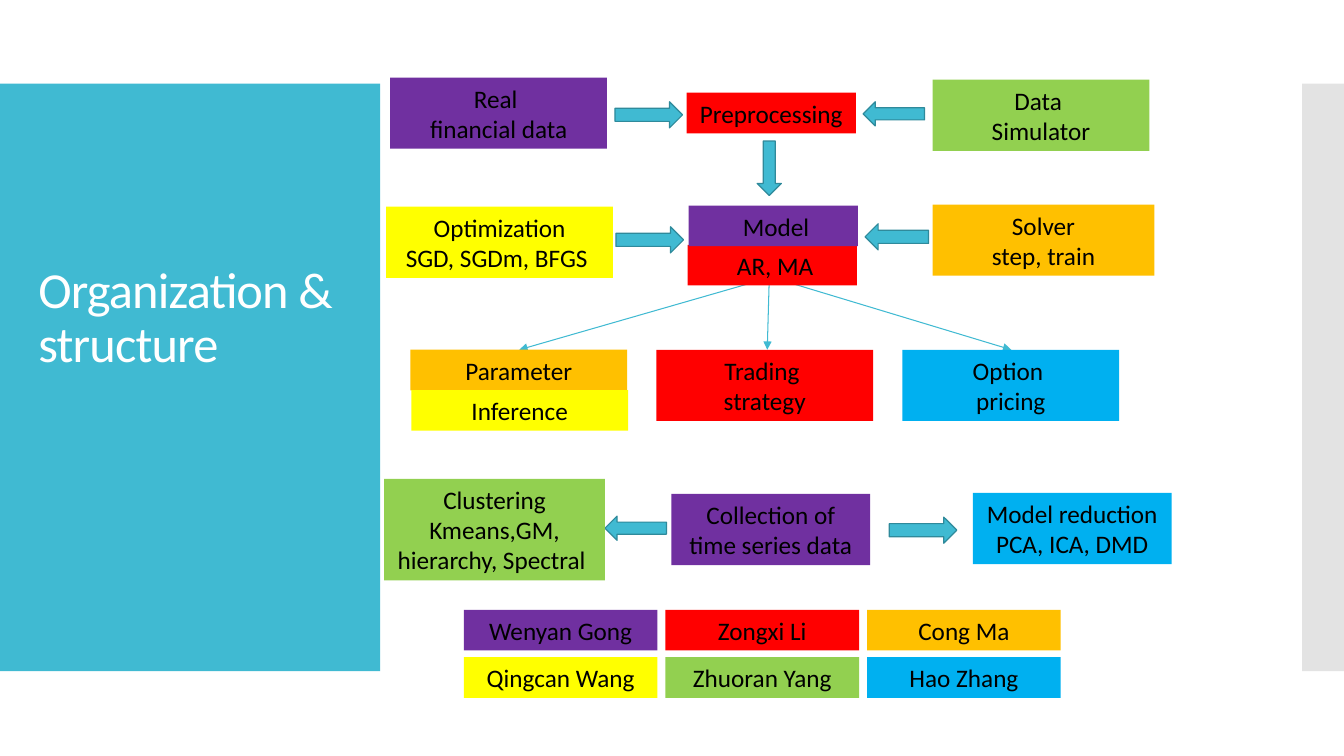
from dataclasses import dataclass

from lxml.etree import SubElement
from pptx import Presentation
from pptx.dml.color import RGBColor
from pptx.enum.shapes import MSO_CONNECTOR as Connector, MSO_SHAPE as Shape
from pptx.enum.text import MSO_ANCHOR as Anchor, MSO_AUTO_SIZE as AutoSize, PP_ALIGN as Align
from pptx.oxml.ns import qn
from pptx.util import Inches, Pt

CELL = 0.1  # inches; the slide is a grid of 133.33 columns by 75 rows
LINE_ROWS = 3.03  # one line of body text
PADDING_ROWS = 1  # above and below the text of a node


@dataclass(frozen=True)
class Theme:
    font: str = "Calibri"
    title_size: float = 36
    body_size: float = 18
    text: str = "000000"
    title: str = "FFFFFF"
    accent: str = "40BAD2"
    outline: str = "2F8A9B"
    edge: str = "C8C8C8"
    purple: str = "7030A0"
    red: str = "FF0000"
    orange: str = "FFC000"
    yellow: str = "FFFF00"
    green: str = "92D050"
    blue: str = "00B0F0"


@dataclass(frozen=True)
class Box:
    """An area in grid cells."""
    left: float
    top: float
    width: float
    height: float

    def inner(self, left, top, width, height):
        return Box(self.left + left, self.top + top, width, height)

    def lengths(self):
        return [Inches(cells * CELL) for cells in (self.left, self.top, self.width, self.height)]


THEME = Theme()


def colour(value):
    return RGBColor.from_string(value)


def add_filled(slide, kind, box, fill, line=None):
    shape = slide.shapes.add_shape(kind, *box.lengths())
    shape.shadow.inherit = False
    shape.fill.solid()
    shape.fill.fore_color.rgb = colour(fill)
    if line:
        shape.line.color.rgb = colour(line)
        shape.line.width = Pt(0.85)
    else:
        shape.line.fill.background()
    return shape


def format_text(frame, size, fill):
    for para in frame.paragraphs:
        for span in para.runs:
            span.font.name = THEME.font
            span.font.size = Pt(size)
            span.font.color.rgb = colour(fill)


def add_node(slide, region, text, fill, left, top, width, lines=1):
    """Place a text block whose height follows from its number of lines."""
    box = region.inner(left, top, width, PADDING_ROWS + lines * LINE_ROWS)
    frame = add_filled(slide, Shape.RECTANGLE, box, fill).text_frame
    frame.word_wrap = True
    frame.auto_size = AutoSize.SHAPE_TO_FIT_TEXT
    frame.text = text
    for para in frame.paragraphs:
        para.alignment = Align.CENTER
    format_text(frame, THEME.body_size, THEME.text)


def draw_stage(slide, region, nodes, arrows=()):
    for kind, *place in arrows:
        add_filled(slide, kind, region.inner(*place), THEME.accent, THEME.outline)
    for node in nodes:
        add_node(slide, region, *node)


def draw_side_panels(slide, band):
    add_filled(slide, Shape.RECTANGLE, band.inner(0, 0, 37.7, band.height), THEME.accent)
    edge_box = band.inner(band.width - 4.15, 0, 4.15, band.height)
    edge = add_filled(slide, Shape.RECTANGLE, edge_box, THEME.edge)
    tint = edge.element.spPr.find(f"{qn('a:solidFill')}/{qn('a:srgbClr')}")
    SubElement(tint, qn("a:alpha")).set("val", "50000")


def draw_title(slide, box):
    title = slide.shapes.title
    slide.shapes.element.append(title.element)  # in front of the side panel
    title.left, title.top, title.width, title.height = box.lengths()
    frame = title.text_frame
    frame.text = "Organization & structure"
    frame.word_wrap = True
    frame.auto_size = AutoSize.NONE
    frame.vertical_anchor = Anchor.MIDDLE
    para = frame.paragraphs[0]
    para.alignment = Align.LEFT
    para.line_spacing = 0.9
    format_text(frame, THEME.title_size, THEME.title)
    para.runs[0].font._element.set("spc", "-60")


def draw_branches(slide, box):
    """Fan out from the model at the top of the box to the results at its bottom."""
    for start, end in ((25, 0), (25, 48.8), (24.8, 24.6)):
        ends = (box.left + start, box.top, box.left + end, box.top + box.height)
        line = slide.shapes.add_connector(
            Connector.STRAIGHT, *(Inches(cells * CELL) for cells in ends))
        line.line.color.rgb = colour(THEME.accent)
        line.line.width = Pt(0.75)
        SubElement(line.line._get_or_add_ln(), qn("a:tailEnd")).set("type", "triangle")
        SubElement(line.element.spPr, qn("a:effectLst"))


def draw_data(slide, region):
    draw_stage(slide, region, [
        ("Real \nfinancial data", THEME.purple, 0.6, 0, 21.5, 2),
        ("Preprocessing", THEME.red, 30, 1.5, 16.8),
        ("Data \nSimulator", THEME.green, 54.4, 0.2, 21.5, 2),
    ], [
        (Shape.RIGHT_ARROW, 22.9, 2.4, 6.7, 2.6),
        (Shape.LEFT_ARROW, 47.5, 2.4, 6.1, 2.4),
        (Shape.DOWN_ARROW, 37, 6.3, 2.4, 5.4),
    ])


def draw_model(slide, region):
    draw_stage(slide, region, [
        ("Optimization\nSGD, SGDm, BFGS ", THEME.yellow, 0.2, 0.2, 22.5, 2),
        ("Solver\nstep, train", THEME.orange, 54.4, 0, 22, 2),
        (" AR, MA", THEME.red, 30.1, 4, 16.8),
        (" Model", THEME.purple, 30.2, 0.1, 16.8),
    ], [
        (Shape.RIGHT_ARROW, 23, 2.2, 6.7, 2.6),
        (Shape.LEFT_ARROW, 47.7, 1.9, 6.3, 2.6),
    ])


def draw_results(slide, region):
    pitch = 24.4
    draw_stage(slide, region, [
        ("Parameter", THEME.orange, 2.6, 0, 21.5),
        ("Inference", THEME.yellow, 2.7, 4, 21.5),
        ("Trading \nstrategy", THEME.red, 2.6 + pitch, 0, 21.5, 2),
        ("Option \npricing", THEME.blue, 2.6 + 2 * pitch, 0, 21.5, 2),
    ])


def draw_series(slide, region):
    draw_stage(slide, region, [
        ("Clustering\nKmeans,GM, hierarchy, Spectral ", THEME.green, 0, 0, 21.9, 3),
        ("Collection of time series data", THEME.purple, 28.5, 1.5, 19.7, 2),
        ("Model reduction\nPCA, ICA, DMD", THEME.blue, 58.4, 1.4, 19.7, 2),
    ], [
        (Shape.LEFT_ARROW, 21.9, 3.7, 6.1, 2.4),
        (Shape.RIGHT_ARROW, 50.1, 3.8, 6.7, 2.6),
    ])


def draw_team(slide, region):
    team = [
        [("Wenyan Gong", THEME.purple), ("Zongxi Li", THEME.red), ("Cong Ma", THEME.orange)],
        [("Qingcan Wang", THEME.yellow), ("Zhuoran Yang", THEME.green), ("Hao Zhang", THEME.blue)],
    ]
    for row, members in enumerate(team):
        for column, (name, fill) in enumerate(members):
            add_node(slide, region, name, fill, column * 20, row * 4.7, 19.2)


def main():
    deck = Presentation()
    deck.slide_width, deck.slide_height = Inches(13.33), Inches(7.5)
    slide = deck.slides.add_slide(deck.slide_layouts[5])
    draw_side_panels(slide, Box(0, 8.3, 133.3, 58.3))
    draw_title(slide, Box(2.8, 6.5, 32.2, 50.3))
    draw_branches(slide, Box(51.5, 27.5, 48.8, 7.2))
    draw_data(slide, Box(38.1, 7.7, 78.1, 11.7))
    draw_model(slide, Box(38.1, 20.3, 78.1, 8))
    draw_results(slide, Box(38.1, 34.7, 78.1, 8))
    draw_series(slide, Box(38.1, 47.5, 78.1, 10.1))
    draw_team(slide, Box(46, 60.5, 59.2, 8.8))
    deck.save("out.pptx")


if __name__ == "__main__":
    main()
